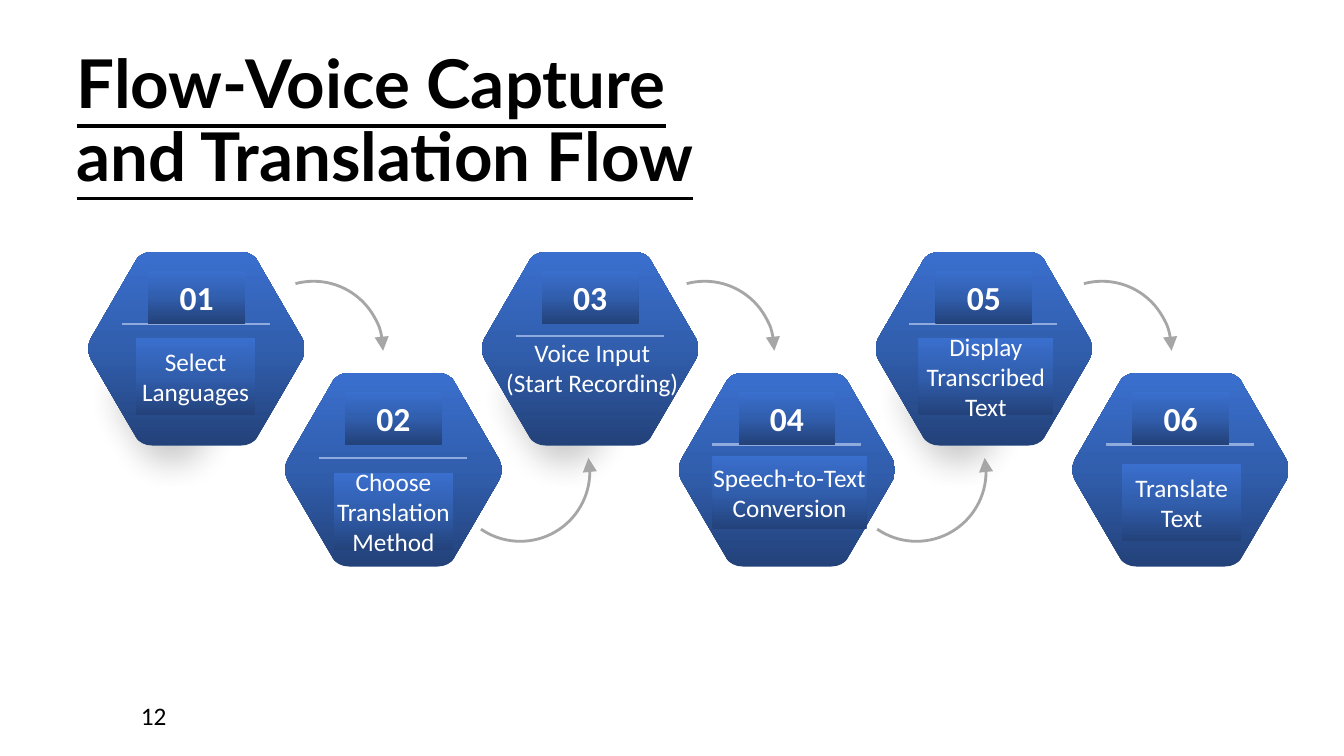
from lxml.etree import SubElement
from pptx import Presentation
from pptx.dml.color import RGBColor
from pptx.enum.shapes import MSO_CONNECTOR, MSO_SHAPE
from pptx.enum.text import MSO_ANCHOR, PP_ALIGN
from pptx.oxml import parse_xml
from pptx.oxml.ns import nsdecls, qn
from pptx.util import Inches, Pt

HEX_W, HEX_H = 2.16, 1.92
FIRST_X, STEP_X = 0.87, 1.952
UPPER_Y, LOWER_Y = 2.5, 3.7
BLUES = [(0, "23427A"), (50, "315EAD"), (100, "3A6FCE")]

# Number, label lines, rule offset, label box inside the hexagon, label filled
STEPS = [
    ("01", ["Select Languages"], 0.71, (0.48, 0.85, 1.18, 0.77), True),
    ("02", ["Choose Translation Method"], 0.84, (0.49, 0.99, 1.18, 0.77), True),
    ("03", ["Voice Input", "(Start Recording)"], 0.83, (0.21, 0.91, 1.78, 0.47), False),
    ("04", ["Speech-to-Text Conversion"], 0.71, (0.34, 0.82, 1.53, 0.73), True),
    ("05", ["Display Transcribed Text"], 0.71, (0.43, 0.85, 1.34, 0.77), True),
    ("06", ["Translate Text"], 0.71, (0.5, 0.9, 1.18, 0.77), True),
]
ARROWS_X = [2.42, 4.47, 6.3, 8.4, 10.24]


def color(value):
    """Turn a hex string into a colour."""
    return RGBColor.from_string(value)


def fill_gradient(sp):
    """Fill a shape with the blue gradient, dark at the bottom."""
    sp.fill.solid()
    stops = "".join(
        f'<a:gs pos="{pos * 1000}"><a:srgbClr val="{value}"/></a:gs>'
        for pos, value in BLUES)
    solid = sp._element.spPr.find(qn("a:solidFill"))
    solid.getparent().replace(solid, parse_xml(
        f'<a:gradFill {nsdecls("a")} rotWithShape="1"><a:gsLst>{stops}</a:gsLst>'
        '<a:lin ang="16200000" scaled="0"/></a:gradFill>'))


def add_run(p, text, size, value, font="Calibri", bold=False):
    """Add one formatted run to a paragraph."""
    r = p.add_run()
    r.text = text
    r.font.name, r.font.size, r.font.bold = font, Pt(size), bold
    r.font.color.rgb = color(value)
    return r


def set_margins(tf, margin):
    """Give a text frame the same margin on each side."""
    tf.margin_left = tf.margin_right = Inches(margin)
    tf.margin_top = tf.margin_bottom = Inches(margin)


def add_label(shapes, box, lines, size, bold=False, filled=True):
    """Add centred white text in a box, with or without the gradient."""
    box = [Inches(v) for v in box]
    if filled:
        sp = shapes.add_shape(MSO_SHAPE.RECTANGLE, *box)
        fill_gradient(sp)
        sp.line.fill.background()
        sp.shadow.inherit = False
    else:
        sp = shapes.add_textbox(*box)
    tf = sp.text_frame
    tf.word_wrap = True
    tf.vertical_anchor = MSO_ANCHOR.MIDDLE
    set_margins(tf, 0)
    for i, line in enumerate(lines):
        p = tf.add_paragraph() if i else tf.paragraphs[0]
        p.alignment = PP_ALIGN.CENTER
        add_run(p, line, size, "FFFFFF", bold=bold)


def round_corners(sp):
    """Turn the three segments at each corner into one curve."""
    lines = list(sp._element.iter(qn("a:lnTo")))
    for i in range(0, len(lines), 4):
        curve = parse_xml(f'<a:cubicBezTo {nsdecls("a")}/>')
        lines[i].addprevious(curve)
        for line in lines[i:i + 3]:
            curve.append(line[0])
            line.getparent().remove(line)


def add_hexagon(shapes, x, y):
    """Add a hexagon with rounded corners at the given place."""
    top = [(0.64, 0), (0.57, 0), (0.5, 0.03), (0.47, 0.1)]
    side = [(0.03, 0.86), (0, 0.92), (0, 1), (0.03, 1.06)]
    bottom = [(px, HEX_H - py) for px, py in reversed(top)]
    left = top + side + bottom
    right = [(HEX_W - px, HEX_H - py) for px, py in left]
    points = [(Inches(x + px), Inches(y + py)) for px, py in left + right]
    builder = shapes.build_freeform(*points[0])
    builder.add_line_segments(points[1:], close=True)
    sp = builder.convert_to_shape()
    round_corners(sp)
    sp.line.fill.background()
    sp.shadow.inherit = False
    return sp


def add_soft_shadow(shapes, x, y):
    """Add a blurred, transparent black hexagon."""
    sp = add_hexagon(shapes, x, y)
    sp.fill.solid()
    sp.fill.fore_color.rgb = color("000000")
    spPr = sp._element.spPr
    clr = spPr.find(qn("a:solidFill")).find(qn("a:srgbClr"))
    SubElement(clr, qn("a:alpha"), val="22000")
    SubElement(spPr.find(qn("a:effectLst")), qn("a:softEdge"), rad="317500")


def add_step(slide, x, y, number, lines, rule_dy, label, filled):
    """Add one step: hexagon, rule, number and label."""
    shapes = slide.shapes.add_group_shape().shapes
    fill_gradient(add_hexagon(shapes, x, y))
    rule_x, rule_y = x + 0.34, y + rule_dy
    rule = shapes.add_connector(MSO_CONNECTOR.STRAIGHT, Inches(rule_x), Inches(rule_y),
                                Inches(rule_x + 1.47), Inches(rule_y))
    rule.line.color.rgb = color("8FAADC")
    rule.line.width = Pt(1.5)
    SubElement(rule._element.spPr, qn("a:effectLst"))
    add_label(shapes, (x + 0.6, y + 0.19, 0.96, 0.52), [number], 24, bold=True)
    dx, dy, w, h = label
    add_label(shapes, (x + dx, y + dy, w, h), lines, 18, filled=filled)


def add_arrow(slide, x, y, angles, end):
    """Add a grey arc with an arrowhead at the named end."""
    sp = slide.shapes.add_shape(MSO_SHAPE.ARC, Inches(x), Inches(y),
                                Inches(1.38), Inches(1.38))
    for i, angle in enumerate(angles):
        sp.adjustments[i] = angle * 0.6
    sp.fill.background()
    sp.line.color.rgb = color("A6A6A6")
    sp.line.width = Pt(2)
    sp.shadow.inherit = False
    SubElement(sp._element.spPr.find(qn("a:ln")), qn(end),
               type="triangle", w="lg", len="lg")


def add_title(slide, x, y, w, h):
    """Add the underlined title."""
    tf = slide.shapes.add_textbox(Inches(x), Inches(y), Inches(w), Inches(h)).text_frame
    tf.word_wrap = True
    tf.vertical_anchor = MSO_ANCHOR.MIDDLE
    set_margins(tf, 0.13)
    p = tf.paragraphs[0]
    p.line_spacing, p.space_after = 0.9, Pt(6)
    for text in ("Flow-", "Voice Capture and Translation Flow"):
        r = add_run(p, text, 48, "000000", "Lato", True)
        r.font.underline = True


def add_page_number(slide, x, y, w, h):
    """Add the page number."""
    tf = slide.shapes.add_textbox(Inches(x), Inches(y), Inches(w), Inches(h)).text_frame
    tf.word_wrap = False
    add_run(tf.paragraphs[0], "12", 18, "000000")


def add_flow(slide, x):
    """Add the six steps, their shadows and the arrows between them."""
    places = [(x + i * STEP_X, LOWER_Y if i % 2 else UPPER_Y) for i in range(len(STEPS))]
    for px, py in places[::2]:
        add_soft_shadow(slide.shapes, px - 0.25, py + 0.51)
    for place, step in zip(places, STEPS):
        add_step(slide, *place, *step)
    for i, ax in enumerate(ARROWS_X):
        if i % 2:
            add_arrow(slide, ax, LOWER_Y + 0.29, (348.51, 124.38), "a:headEnd")
        else:
            add_arrow(slide, ax, UPPER_Y + 0.29, (254.96, 0), "a:tailEnd")


def main():
    """Build and save the slide."""
    prs = Presentation()
    prs.slide_width, prs.slide_height = Inches(13.33), Inches(7.5)
    slide = prs.slides.add_slide(prs.slide_layouts[6])
    add_title(slide, 0.63, 0.24, 7.33, 1.97)
    add_flow(slide, FIRST_X)
    add_page_number(slide, 1.3, 6.9, 0.46, 0.4)
    prs.save("out.pptx")


if __name__ == "__main__":
    main()
